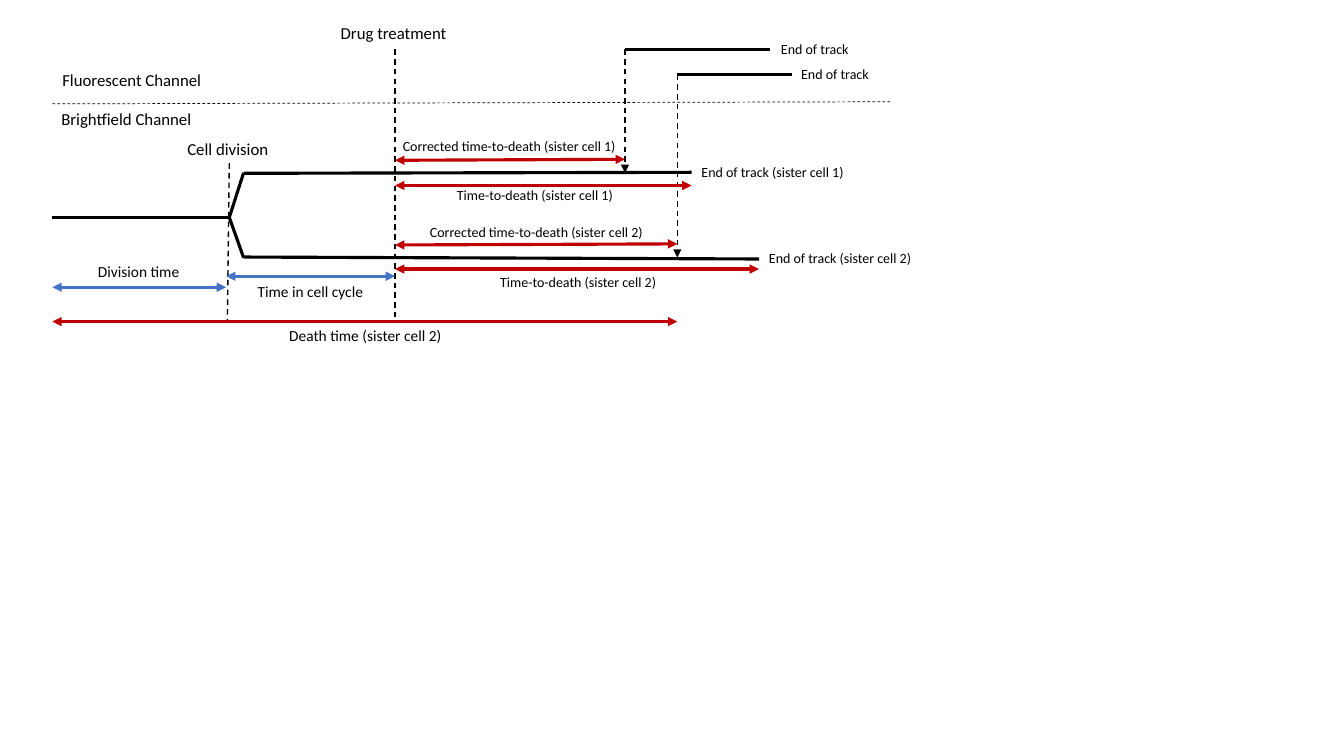
from lxml import etree
from pptx import Presentation
from pptx.dml.color import RGBColor
from pptx.enum.dml import MSO_LINE
from pptx.enum.shapes import MSO_CONNECTOR
from pptx.enum.text import MSO_AUTO_SIZE, PP_ALIGN
from pptx.oxml.ns import qn
from pptx.util import Pt

STRAIGHT = MSO_CONNECTOR.STRAIGHT
DASH = MSO_LINE.DASH
FIT_SHAPE = MSO_AUTO_SIZE.SHAPE_TO_FIT_TEXT
LEFT, CENTER = PP_ALIGN.LEFT, PP_ALIGN.CENTER
FONT = "Calibri"
COLORS = {"track": "000000", "phase": "4472C4", "death": "C00000"}
BLANK_LAYOUT = 6

# Moments on the time axis, in points
START = 37.4
DIVISION = 163.8
BRANCH = 174
TREATMENT = 282.2
DEATH_1, DEATH_2 = 446.4, 483.8
END_1, END_2 = 494, 542.2

# Heights of the tracks, in points
FLUOR_1, FLUOR_2 = 35.3, 53.3
MOTHER = 155.3
SISTER_1, SISTER_2 = 123.5, 184
BOTTOM = 229.7


def add_line(slide, start, end, color="track", width=2.25, dashed=False, ends=()):
    line = slide.shapes.add_connector(STRAIGHT, *(Pt(v) for v in (*start, *end)))
    line.line.width = Pt(width)
    line.line.color.rgb = RGBColor.from_string(COLORS[color])
    if dashed:
        line.line.dash_style = DASH
    properties = line._element.spPr
    for end_tag in ends:
        etree.SubElement(properties.find(qn("a:ln")), qn(end_tag), type="triangle")
    etree.SubElement(properties, qn("a:effectLst"))


def add_marker(slide, start, end, width=1, arrow=False):
    add_line(slide, start, end, width=width, dashed=True,
             ends=("a:tailEnd",) if arrow else ())


def add_span(slide, start, end, color="death"):
    add_line(slide, start, end, color, ends=("a:headEnd", "a:tailEnd"))


def add_label(slide, text, left, top, width, size, align=LEFT, wrap=True):
    label = slide.shapes.add_textbox(Pt(left), Pt(top), Pt(width), Pt(size * 1.2 + 7.2))
    frame = label.text_frame
    frame.word_wrap = wrap
    frame.auto_size = FIT_SHAPE
    frame.text = text
    paragraph = frame.paragraphs[0]
    paragraph.alignment = align
    font = paragraph.runs[0].font
    font.name, font.size = FONT, Pt(size)
    font.color.rgb = RGBColor.from_string(COLORS["track"])


def main():
    deck = Presentation()
    deck.slide_width, deck.slide_height = Pt(960), Pt(540)
    slide = deck.slides.add_slide(deck.slide_layouts[BLANK_LAYOUT])

    # Cell tracks: mother, fork, sisters, fluorescent signals
    for start, end in (
        ((START, MOTHER), (DIVISION, MOTHER)),
        ((DIVISION, MOTHER), (BRANCH, SISTER_1)),
        ((BRANCH, SISTER_2), (DIVISION, MOTHER)),
        ((BRANCH, 123.8), (END_1, 123.1)),
        ((BRANCH, 183.6), (END_2, 185)),
        ((DEATH_1, FLUOR_1), (550.1, FLUOR_1)),
        ((DEATH_2, FLUOR_2), (565.5, FLUOR_2)),
    ):
        add_line(slide, start, end)

    # Dashed channel border, events and death markers
    add_marker(slide, (START, 74.2), (636.5, 72.7), width=0.5)
    add_marker(slide, (TREATMENT, FLUOR_1), (TREATMENT, BOTTOM))
    add_marker(slide, (DIVISION, 116.6), (162.4, BOTTOM))
    add_marker(slide, (DEATH_1, FLUOR_1), (DEATH_1, SISTER_1), arrow=True)
    add_marker(slide, (DEATH_2, FLUOR_2), (DEATH_2, SISTER_2), arrow=True)

    # Measured time spans
    add_span(slide, (START, 205.2), (161.5, 205.2), "phase")
    add_span(slide, (161.5, 197.3), (TREATMENT, 197.3), "phase")
    add_span(slide, (TREATMENT, 114.5), (DEATH_1, 113.8))
    add_span(slide, (TREATMENT, 132.5), (END_1, 132.5))
    add_span(slide, (TREATMENT, 175), (DEATH_2, 174.2))
    add_span(slide, (TREATMENT, 192.2), (END_2, 192.2))
    add_span(slide, (START, BOTTOM), (DEATH_2, BOTTOM))

    # Channels and events
    for text, left, top, width in (
        ("Fluorescent Channel", 37.4, 46.4, 115),
        ("Brightfield Channel", 36.7, 74.2, 108),
        ("Drug treatment", 236.2, 12.7, 90.5),
        ("Cell division", 126.7, 95.3, 73),
    ):
        add_label(slide, text, left, top, width, 12, wrap=False)

    # Track ends
    for text, left, top, wrap in (
        ("End of track", 550.8, 25.7, True),
        ("End of track", 565.2, 43.5, True),
        ("End of track (sister cell 1)", END_1, 113.2, False),
        ("End of track (sister cell 2)", END_2, 174.5, False),
    ):
        add_label(slide, text, left, top, 117.4, 10, wrap=wrap)

    # Span names
    for text, left, top, width, size in (
        ("Division time", 58.3, 183.6, 81.4, 11),
        ("Time in cell cycle", 163.4, 198.3, 116.6, 11),
        ("Death time (sister cell 2)", 194.4, 229.3, 133.2, 11),
        ("Corrected time-to-death (sister cell 1)", 275.8, 94.7, 175.7, 10),
        ("Time-to-death (sister cell 1)", 319, 129.8, 126, 10),
        ("Corrected time-to-death (sister cell 2)", 295.2, 155.9, 175.7, 10),
        ("Time-to-death (sister cell 2)", 349.9, 191.5, 126, 10),
    ):
        add_label(slide, text, left, top, width, size, CENTER)

    deck.save("out.pptx")


main()
